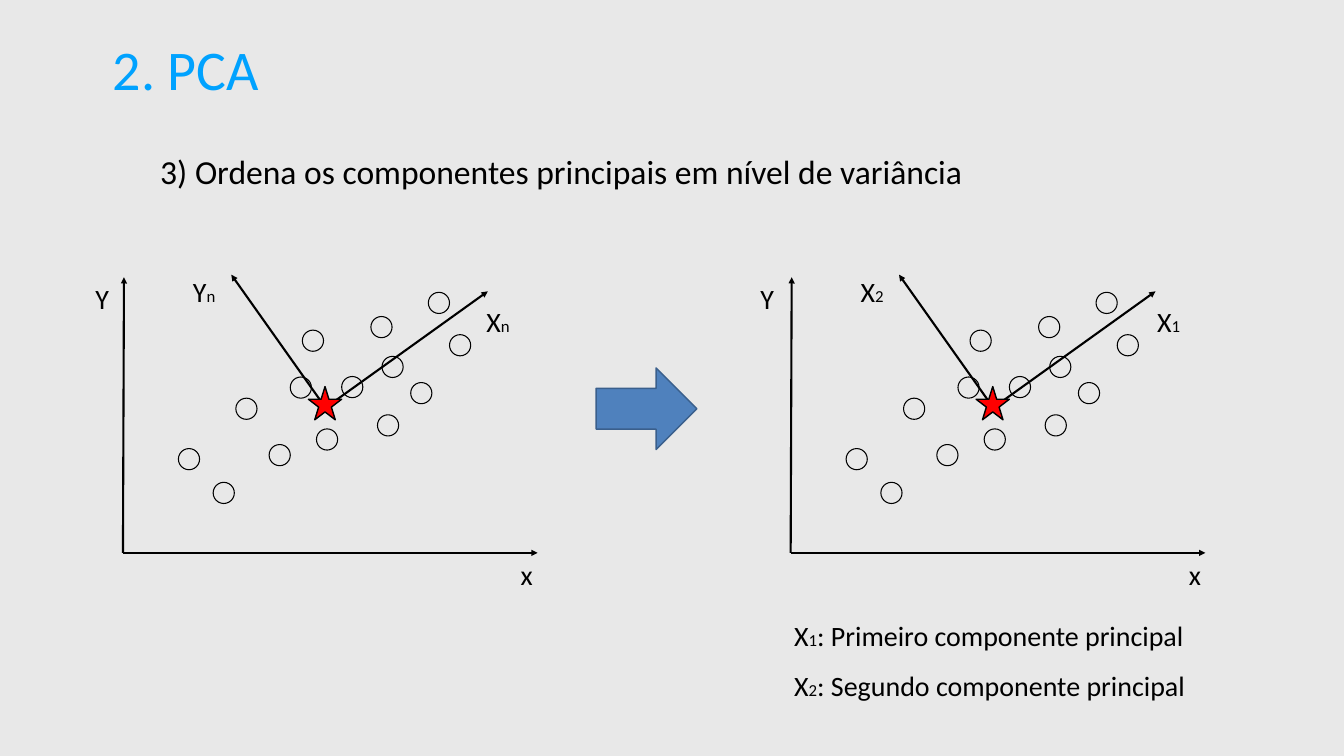
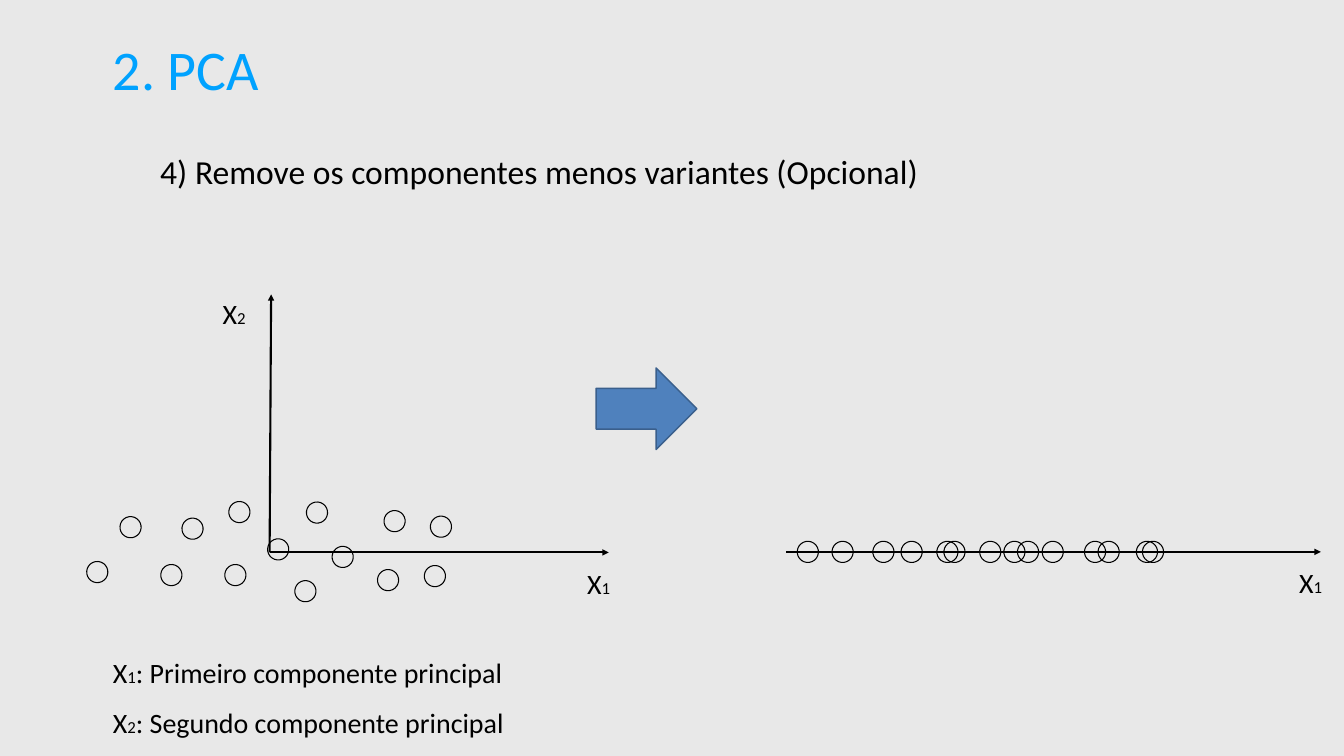
from dataclasses import dataclass
from typing import NamedTuple

from lxml.etree import SubElement
from pptx import Presentation
from pptx.dml.color import RGBColor
from pptx.enum.shapes import MSO_CONNECTOR as Connector, MSO_SHAPE as Preset
from pptx.enum.text import MSO_ANCHOR as Anchor, MSO_AUTO_SIZE as AutoSize
from pptx.oxml.ns import qn
from pptx.util import Inches, Pt

FONT = "Calibri"
BLACK = "000000"
BLUE_TITLE = "00A2FF"
BACKGROUND = "E8E8E8"
INDENT = 0.94
INSET = 0.06
DOT_SIZE = 0.42
DOT_ROTATION = 35.7
LABEL_SIZE = 40
SUBSCRIPT_SIZE = 24
PANEL_STEP = 13.25
PROJECTION_TOP = 10.74


class Point(NamedTuple):
    x: float
    y: float


class Box(NamedTuple):
    left: float
    top: float
    width: float
    height: float


class TextRun(NamedTuple):
    text: str
    size: float = LABEL_SIZE


@dataclass
class Label:
    box: Box
    lines: list[list[TextRun]]
    fitted: bool = False


@dataclass
class Panel:
    offset: float
    y_label: Label
    x_label: Label
    first_component: Label
    second_component: Label


SCATTER = [
    Point(4.68, 7.9), Point(5.76, 7.48), Point(6.78, 7.47), Point(3.54, 8.9),
    Point(4.23, 9.57), Point(7.49, 8.23), Point(6, 6.55), Point(5.34, 8.82),
    Point(8.15, 7.59), Point(8.5, 5.8), Point(6.28, 8.51), Point(8.92, 6.64),
    Point(7.58, 7.07), Point(7.36, 6.28),
]
ROTATED_SCATTER = [
    Point(3.61, 10.28), Point(4.54, 9.95), Point(5.31, 10.69), Point(2.38, 10.25),
    Point(1.72, 11.14), Point(5.85, 11.52), Point(6.08, 9.96), Point(3.19, 11.2),
    Point(7.49, 11.3), Point(8.54, 10.24), Point(4.46, 11.2), Point(8.42, 11.22),
    Point(6.59, 10.84), Point(7.62, 10.13),
]
PROJECTED_LEFTS = [
    17.88, 18.73, 19.44, 16.51, 15.82, 19.92, 20.19,
    17.32, 21.52, 22.67, 18.59, 22.55, 20.68, 21.79,
]


def color(value: str) -> RGBColor:
    return RGBColor.from_string(value)


def subscript(letter: str, index: str) -> list[TextRun]:
    return [TextRun(letter), TextRun(index, SUBSCRIPT_SIZE)]


def add_run(paragraph, run: TextRun, ink: str = BLACK) -> None:
    text_run = paragraph.add_run()
    text_run.text = run.text
    text_run.font.name = FONT
    text_run.font.size = Pt(run.size)
    text_run.font.color.rgb = color(ink)


def add_text_frame(slide, box: Box, inset: float):
    frame = slide.shapes.add_textbox(*map(Inches, box)).text_frame
    frame.word_wrap = True
    frame.margin_left = frame.margin_right = Inches(inset)
    frame.margin_top = frame.margin_bottom = Inches(inset)
    return frame


def add_label(slide, label: Label) -> None:
    frame = add_text_frame(slide, label.box, INSET)
    if label.fitted:
        frame.margin_left = frame.margin_right = Inches(0.1)
        frame.margin_top = frame.margin_bottom = Inches(0.05)
        frame.word_wrap = False
        frame.auto_size = AutoSize.SHAPE_TO_FIT_TEXT
    for number, line in enumerate(label.lines):
        paragraph = frame.add_paragraph() if number else frame.paragraphs[0]
        paragraph.level = 4
        paragraph.line_spacing = 1.5
        properties = paragraph._p.get_or_add_pPr()
        properties.set("marL", str(Inches(INDENT)))
        properties.set("indent", "0")
        for run in line:
            add_run(paragraph, run)


def add_shape(slide, preset: Preset, box: Box, fill: str | None = None,
              outline: str = BLACK, weight: float = 2, rotation: float = 0) -> None:
    shape = slide.shapes.add_shape(preset, *map(Inches, box))
    shape.shadow.inherit = False
    shape.rotation = rotation
    if fill:
        shape.fill.solid()
        shape.fill.fore_color.rgb = color(fill)
    else:
        shape.fill.background()
    shape.line.color.rgb = color(outline)
    shape.line.width = Pt(weight)


def add_dots(slide, points: list[Point], rotation: float = 0) -> None:
    for point in points:
        add_shape(slide, Preset.OVAL, Box(*point, DOT_SIZE, DOT_SIZE),
                  weight=1.5, rotation=rotation)


def add_arrow(shapes, start: Point, end: Point) -> None:
    arrow = shapes.add_connector(Connector.STRAIGHT, *map(Inches, (*start, *end)))
    arrow.line.color.rgb = color(BLACK)
    arrow.line.width = Pt(3)
    SubElement(arrow.line._get_or_add_ln(), qn("a:tailEnd"), type="triangle")
    SubElement(arrow._element.spPr, qn("a:effectLst"))


def add_axes(shapes, origin: Point, *tips: Point) -> None:
    for tip in tips:
        add_arrow(shapes, origin, tip)


def add_step_arrow(slide) -> None:
    add_shape(slide, Preset.RIGHT_ARROW, Box(11.83, 7.3, 2, 1.62), "4F81BD", "3A5F8C")


def add_legend(slide, left: float, top: float) -> None:
    add_label(slide, Label(Box(left, top, 10.54, 0.63), [
        [*subscript("X", "1"), TextRun(": Primeiro componente principal")],
        [*subscript("X", "2"), TextRun(": Segundo componente principal")],
    ]))


def add_panel(slide, panel: Panel) -> None:
    def shifted(x: float, y: float) -> Point:
        return Point(x + panel.offset, y)

    add_axes(slide.shapes, shifted(2.44, 10.97), shifted(2.46, 5.5), shifted(10.67, 10.97))
    add_dots(slide, [shifted(*point) for point in SCATTER])
    add_label(slide, panel.y_label)
    add_label(slide, panel.x_label)
    components = slide.shapes.add_group_shape()
    add_axes(components.shapes, shifted(6.46, 8.09), shifted(4.59, 5.45), shifted(9.68, 5.78))
    add_label(slide, panel.first_component)
    add_shape(slide, Preset.STAR_5_POINT, Box(*shifted(6.12, 7.67), 0.66, 0.66), "FF0000")
    add_label(slide, panel.second_component)


def add_content_slide(presentation, subtitle: str):
    slide = presentation.slides.add_slide(presentation.slide_layouts[6])
    slide.background.fill.solid()
    slide.background.fill.fore_color.rgb = color(BACKGROUND)
    frame = add_text_frame(slide, Box(2.18, 0.63, 19.55, 1.44), INSET)
    frame.vertical_anchor = Anchor.MIDDLE
    add_run(frame.paragraphs[0], TextRun("2. PCA", 80), BLUE_TITLE)
    add_label(slide, Label(Box(2.18, 2.53, 21.68, 3.31), [[TextRun(subtitle, 48)]]))
    return slide


def build_ordering_slide(presentation) -> None:
    slide = add_content_slide(
        presentation, "3) Ordena os componentes principais em nível de variância")
    panels = [
        Panel(
            PANEL_STEP,
            Label(Box(14.09, 5.19, 1.82, 0.63), [[TextRun("Y")]]),
            Label(Box(22.59, 10.66, 1.82, 0.63), [[TextRun("x")]]),
            Label(Box(21.96, 5.64, 5.11, 0.63), [subscript("X", "1")]),
            Label(Box(16.04, 5.07, 1.78, 1.11), [subscript("X", "2")], fitted=True),
        ),
        Panel(
            0,
            Label(Box(0.89, 5.19, 1.82, 0.63), [[TextRun("Y")]]),
            Label(Box(9.33, 10.66, 1.82, 0.63), [[TextRun("x")]]),
            Label(Box(8.65, 5.64, 2.02, 0.63), [subscript("X", "n")]),
            Label(Box(2.79, 5.07, 1.72, 0.99), [subscript("Y", "n")], fitted=True),
        ),
    ]
    for panel in panels:
        add_panel(slide, panel)
    add_step_arrow(slide)
    add_legend(slide, 14.76, 11.87)


def build_removal_slide(presentation) -> None:
    slide = add_content_slide(
        presentation, "4) Remove os componentes menos variantes (Opcional)")
    add_step_arrow(slide)
    add_legend(slide, 1.24, 12.61)
    add_dots(slide, ROTATED_SCATTER, DOT_ROTATION)
    add_axes(slide.shapes, Point(5.35, 10.96), Point(5.38, 5.84), Point(12.08, 10.96))
    add_label(slide, Label(Box(10.65, 10.84, 5.11, 0.63), [subscript("X", "1")]))
    add_label(slide, Label(Box(3.38, 5.51, 1.78, 1.11), [subscript("X", "2")], fitted=True))
    add_dots(slide, [Point(left, PROJECTION_TOP) for left in PROJECTED_LEFTS], DOT_ROTATION)
    add_arrow(slide.shapes, Point(15.6, 10.95), Point(26.21, 10.95))
    add_label(slide, Label(Box(24.78, 10.82, 5.11, 0.63), [subscript("X", "1")]))


def main() -> None:
    presentation = Presentation()
    presentation.slide_width = Inches(26.67)
    presentation.slide_height = Inches(15)
    build_ordering_slide(presentation)
    build_removal_slide(presentation)
    presentation.save("out.pptx")


if __name__ == "__main__":
    main()
